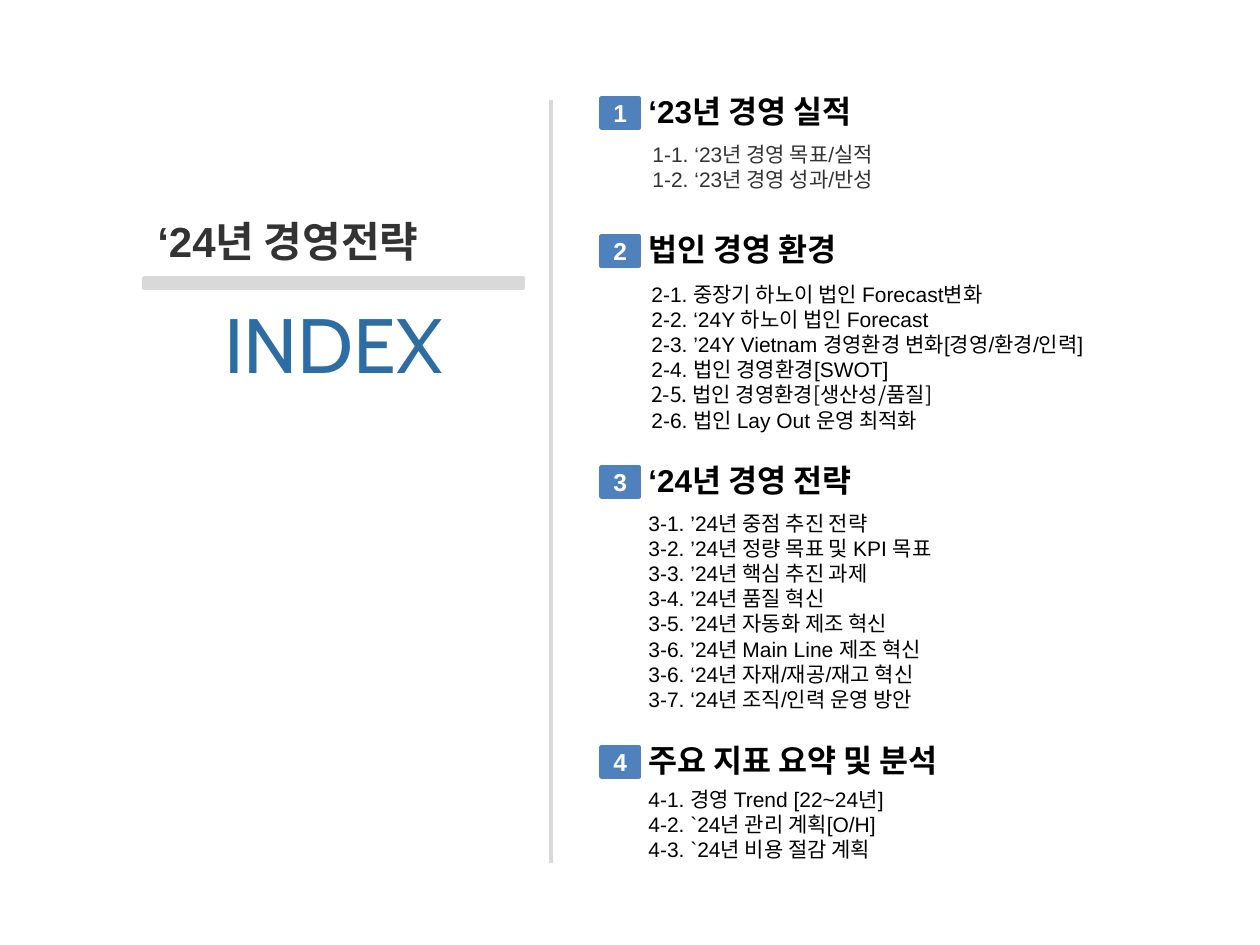
from dataclasses import dataclass

from lxml import etree
from pptx import Presentation
from pptx.dml.color import RGBColor
from pptx.enum.shapes import MSO_CONNECTOR, MSO_SHAPE
from pptx.enum.text import MSO_ANCHOR, PP_ALIGN
from pptx.oxml.ns import qn
from pptx.util import Emu, Pt

STRAIGHT = MSO_CONNECTOR.STRAIGHT
RECTANGLE = MSO_SHAPE.RECTANGLE
MIDDLE = MSO_ANCHOR.MIDDLE
LEFT, CENTER = PP_ALIGN.LEFT, PP_ALIGN.CENTER

PX_PER_INCH = 126
LATIN, DISPLAY, KOREAN = "Arial", "Cabin", "Noto Sans CJK KR"
BLACK, DARK, GRAY = "000000", "333333", "D9D9D9"
WHITE, BLUE, INDEX_BLUE = "FFFFFF", "4F81BD", "2E6CA4"
LINE_FACTOR = 1.2


@dataclass
class Style:
    size: int
    color: str = BLACK
    bold: bool = False
    font: str = LATIN
    align: int = LEFT


@dataclass
class Section:
    number: int
    top: int
    items_left: int
    items_top: int
    title: str
    items: list[str]
    items_color: str = BLACK


HEADING = Style(18, bold=True)
BADGE = Style(14, WHITE, True, align=CENTER)
KOREAN_FONT_ITEMS = {"2-5. 법인 경영환경[생산성/품질]"}

SECTIONS = [
    Section(1, 98, 640, 135, "‘23년 경영 실적", [
        "1-1. ‘23년 경영 목표/실적",
        "1-2. ‘23년 경영 성과/반성",
    ], DARK),
    Section(2, 236, 639, 275, "법인 경영 환경", [
        "2-1. 중장기 하노이 법인 Forecast변화",
        "2-2. ‘24Y 하노이 법인 Forecast",
        "2-3. ’24Y Vietnam 경영환경 변화[경영/환경/인력]",
        "2-4. 법인 경영환경[SWOT]",
        "2-5. 법인 경영환경[생산성/품질]",
        "2-6. 법인 Lay Out 운영 최적화",
    ]),
    Section(3, 467, 636, 504, "‘24년 경영 전략", [
        "3-1. ’24년 중점 추진 전략",
        "3-2. ’24년 정량 목표 및 KPI 목표",
        "3-3. ’24년 핵심 추진 과제",
        "3-4. ’24년 품질 혁신",
        "3-5. ’24년 자동화 제조 혁신",
        "3-6. ’24년 Main Line 제조 혁신",
        "3-6. ‘24년 자재/재공/재고 혁신",
        "3-7. ‘24년 조직/인력 운영 방안",
    ]),
    Section(4, 747, 636, 780, "주요 지표 요약 및 분석", [
        "4-1. 경영 Trend [22~24년]",
        "4-2. `24년 관리 계획[O/H]",
        "4-3. `24년 비용 절감 계획",
    ]),
]


def px(length: int) -> Emu:
    return Emu(round(length * 914400 / PX_PER_INCH))


def rgb(color: str) -> RGBColor:
    return RGBColor.from_string(color)


def write_line(para, text: str, style: Style) -> None:
    para.alignment = style.align
    para.line_spacing = Pt(style.size * LINE_FACTOR)
    span = para.add_run()
    span.text = text
    span.font.size = Pt(style.size)
    span.font.bold = style.bold
    span.font.color.rgb = rgb(style.color)
    span.font.name = KOREAN if text in KOREAN_FONT_ITEMS else style.font
    # Hangul takes its own typeface
    east_asian = etree.SubElement(span.font._element, qn("a:ea"))
    east_asian.set("typeface", KOREAN)


def add_text(page, left: int, top: int, width: int, height: int,
             lines: list[str], style: Style) -> None:
    box = page.shapes.add_textbox(px(left), px(top), px(width), px(height))
    frame = box.text_frame
    frame.word_wrap = True
    for index, line in enumerate(lines):
        para = frame.add_paragraph() if index else frame.paragraphs[0]
        write_line(para, line, style)


def add_block(page, left: int, top: int, width: int, height: int, color: str):
    block = page.shapes.add_shape(RECTANGLE, px(left), px(top), px(width), px(height))
    block.shadow.inherit = False
    block.fill.solid()
    block.fill.fore_color.rgb = rgb(color)
    block.line.color.rgb = rgb(color)
    block.line.width = Pt(2)
    return block


def add_divider(page, x: int, top: int, bottom: int) -> None:
    divider = page.shapes.add_connector(STRAIGHT, px(x), px(top), px(x), px(bottom))
    divider.line.color.rgb = rgb(GRAY)
    divider.line.width = Pt(2.25)
    etree.SubElement(divider._element.spPr, qn("a:effectLst"))


def add_section(page, section: Section) -> None:
    # Numbered badge
    badge = add_block(page, 601, section.top, 38, 30, BLUE)
    badge.text_frame.vertical_anchor = MIDDLE
    write_line(badge.text_frame.paragraphs[0], str(section.number), BADGE)
    # Heading and its items
    add_text(page, 636, section.top - 12, 377, 50, [section.title], HEADING)
    items_height = 13 + 25 * len(section.items)
    add_text(page, section.items_left, section.items_top, 547, items_height,
             section.items, Style(12, section.items_color))


def main() -> None:
    deck = Presentation()
    deck.slide_width, deck.slide_height = px(1260), px(945)
    page = deck.slides.add_slide(deck.slide_layouts[6])

    # Title side
    add_divider(page, 551, 100, 863)
    add_block(page, 144, 278, 379, 10, GRAY)
    add_text(page, 144, 290, 379, 106, ["INDEX"],
             Style(44, INDEX_BLUE, font=DISPLAY, align=CENTER))
    add_text(page, 145, 209, 379, 63, ["‘24년 경영전략"], Style(24, DARK, True))

    # Contents side
    for section in SECTIONS:
        add_section(page, section)

    deck.save("out.pptx")


if __name__ == "__main__":
    main()
